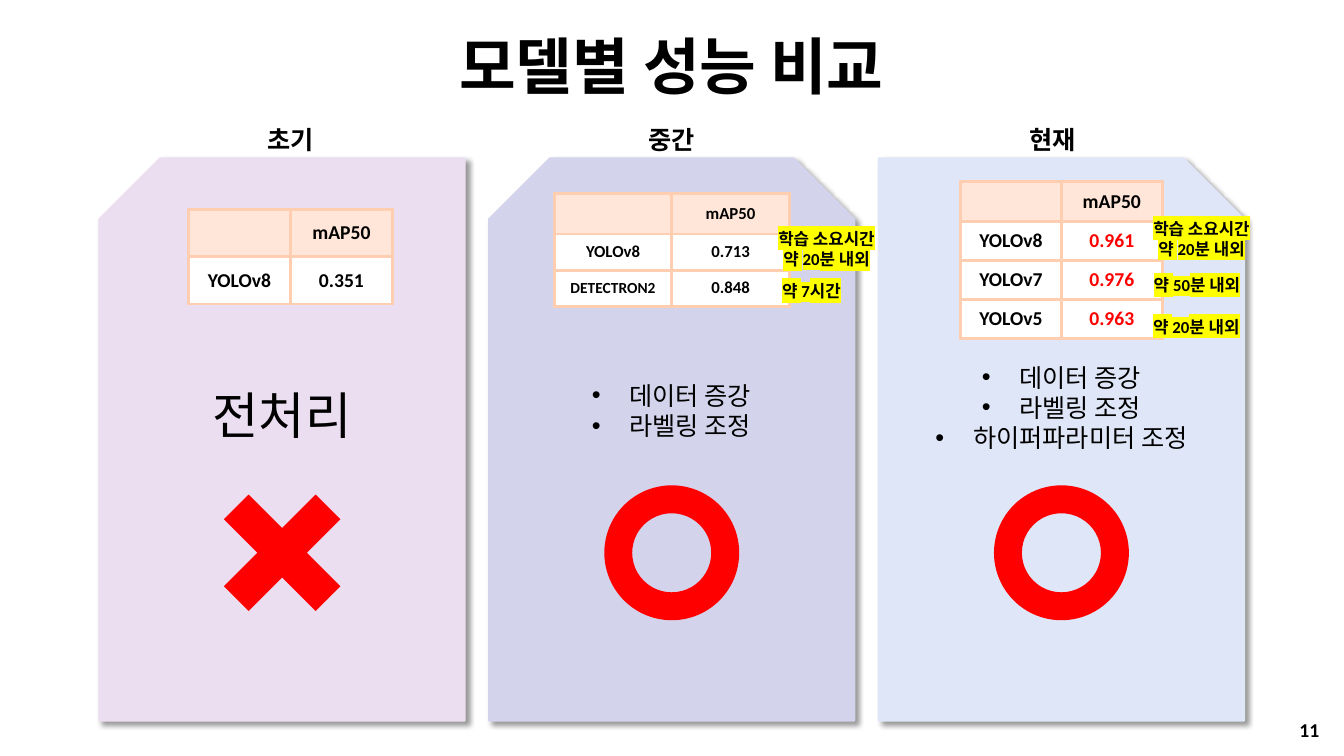
from lxml import etree
from pptx import Presentation
from pptx.dml.color import RGBColor
from pptx.enum.shapes import MSO_SHAPE
from pptx.enum.text import MSO_ANCHOR, MSO_AUTO_SIZE, PP_ALIGN
from pptx.oxml import parse_xml
from pptx.oxml.ns import nsdecls, qn
from pptx.util import Cm, Pt

CENTER, RIGHT = PP_ALIGN.CENTER, PP_ALIGN.RIGHT
TOP, MIDDLE = MSO_ANCHOR.TOP, MSO_ANCHOR.MIDDLE
NO_FIT = MSO_AUTO_SIZE.NONE
SNIP_ONE, SNIP_TWO = MSO_SHAPE.SNIP_1_RECTANGLE, MSO_SHAPE.SNIP_2_SAME_RECTANGLE
CROSS, RING = MSO_SHAPE.MATH_MULTIPLY, MSO_SHAPE.DONUT

FONT, BLACK, RED = "Calibri", "000000", "FF0000"
YELLOW, PEACH, PALE_PEACH, WHITE = "FFFF00", "FFCEB0", "FFE6D8", "FFFFFF"

TITLE = "모델별 성능 비교"
PAGE_NUMBER = "11"
STAGES = [
    {"heading": "초기", "card": (SNIP_ONE, "EBDEF1", True),
     "mark": (CROSS, 0.198, 4.45),
     "table": (4.75, 5.28, 2.57, 1.19, 14, BLACK),
     "scores": [("YOLOv8", "0.351")]},
    {"heading": "중간", "card": (SNIP_TWO, "D3D3EB", False),
     "mark": (RING, 0.207, 3.4),
     "table": (13.97, 4.88, 2.96, 0.91, 12, BLACK),
     "scores": [("YOLOv8", "0.713"), ("DETECTRON2", "0.848")]},
    {"heading": "현재", "card": (SNIP_ONE, "DFE6F7", False),
     "mark": (RING, 0.207, 3.4),
     "table": (24.21, 4.57, 2.54, 0.98, 14, RED),
     "scores": [("YOLOv8", "0.961"), ("YOLOv7", "0.976"), ("YOLOv5", "0.963")]},
]
PREPROCESSING = ("전처리", (3.58, 9.55, 7.06, 1.8))
LISTS = [
    (["데이터 증강", "라벨링 조정"], (13.39, 9.45, 7.06, 1.8)),
    (["데이터 증강", "라벨링 조정", "하이퍼파라미터 조정"], (23.22, 8.99, 7.06, 2.57)),
]
TRAINING_TIMES = [
    (["학습 소요시간", "약 20분 내외"], (18.19, 5.64, 5.28, 1.27)),
    (["약 7시간"], (18.19, 6.96, 4.52, 0.76)),
    (["학습 소요시간", "약 20분 내외"], (27.64, 5.38, 5.28, 1.27)),
    (["약 50분 내외"], (27.64, 6.81, 5.05, 0.76)),
    (["약 20분 내외"], (27.51, 7.85, 5.28, 0.76)),
]
CARD_LEFT, CARD_TOP, CARD_WIDTH, CARD_HEIGHT, CARD_STEP = 2.51, 3.99, 9.2, 14.17, 9.82
HEADING_LEFT, HEADING_STEP = 4.95, 9.6
MARK_CENTER_LEFT, MARK_CENTER_TOP = 7.11, 13.93


def color(value):
    return RGBColor.from_string(value)


def apply(target, values):
    for name, value in values.items():
        setattr(target, name, value)


def place(box, area):
    apply(box, dict(zip(("left", "top", "width", "height"), map(Cm, area))))


def write(frame, lines, size, bold=False, ink=BLACK, align=CENTER,
          anchor=TOP, bullet=False, highlight=None):
    apply(frame, {"word_wrap": True, "vertical_anchor": anchor})
    for index, line in enumerate(lines):
        para = frame.add_paragraph() if index else frame.paragraphs[0]
        if bullet:
            properties = para._p.get_or_add_pPr()
            properties.set("marL", str(Cm(0.95)))
            properties.set("indent", str(-Cm(0.95)))
            etree.SubElement(properties, qn("a:buFont")).set("typeface", "Arial")
            etree.SubElement(properties, qn("a:buChar")).set("char", "•")
        apply(para, {"alignment": align, "space_before": Pt(0), "line_spacing": 1.0})
        span = para.add_run()
        span.text = line
        apply(span.font, {"name": FONT, "size": Pt(size), "bold": bold})
        span.font.color.rgb = color(ink)
        if highlight:
            fill = span.font._element.find(qn("a:solidFill"))
            fill.addnext(parse_xml(
                f'<a:highlight {nsdecls("a")}><a:srgbClr val="{highlight}"/></a:highlight>'))


def add_text(page, lines, area, size, **style):
    box = page.shapes.add_textbox(*map(Cm, area))
    write(box.text_frame, lines, size, **style)


def add_solid(page, kind, area, fill):
    shape = page.shapes.add_shape(kind, *map(Cm, area))
    shape.shadow.inherit = False
    shape.fill.solid()
    shape.fill.fore_color.rgb = color(fill)
    shape.line.fill.background()
    return shape


def add_card(page, kind, fill, flipped, left):
    card = add_solid(page, kind, (left, CARD_TOP, CARD_WIDTH, CARD_HEIGHT), fill)
    card.line.color.rgb = color(fill)
    card.line.width = Pt(1.5)
    properties = card.element.spPr
    if flipped:
        properties.find(qn("a:xfrm")).set("flipH", "1")
    properties.find(qn("a:effectLst")).append(parse_xml(
        f'<a:outerShdw {nsdecls("a")} blurRad="{Pt(4)}" dist="{Pt(3)}" dir="2700000" '
        f'algn="tl" rotWithShape="0"><a:srgbClr val="{BLACK}">'
        '<a:alpha val="40000"/></a:srgbClr></a:outerShdw>'))
    page.shapes.element.insert(2, card.element)


def add_borders(cell):
    properties = cell._tc.get_or_add_tcPr()
    for index, side in enumerate(("lnL", "lnR", "lnT", "lnB")):
        properties.insert(index, parse_xml(
            f'<a:{side} {nsdecls("a")} w="{Pt(2.25)}"><a:solidFill>'
            f'<a:srgbClr val="{PEACH}"/></a:solidFill></a:{side}>'))


def add_scores(page, scores, left, top, column, row, size, ink):
    rows = [("", "mAP50")] + scores
    area = (left, top, 2 * column, row * len(rows))
    table = page.shapes.add_table(len(rows), 2, *map(Cm, area)).table
    apply(table, {"first_row": False, "horz_banding": False})
    for row_index, values in enumerate(rows):
        for column_index, value in enumerate(values):
            cell = table.cell(row_index, column_index)
            cell.fill.solid()
            cell.fill.fore_color.rgb = color(WHITE if row_index else PALE_PEACH)
            add_borders(cell)
            cell.vertical_anchor = MIDDLE
            if value:
                is_score = row_index and column_index
                write(cell.text_frame, [value], 11 if value == "DETECTRON2" else size,
                      bold=True, ink=ink if is_score else BLACK, anchor=MIDDLE)


def main():
    deck = Presentation()
    apply(deck, {"slide_width": Cm(33.87), "slide_height": Cm(19.05)})
    page = deck.slides.add_slide(deck.slide_layouts.get_by_name("Two Content"))
    title, *bodies = page.placeholders
    place(title, (9.7, 0.53, 14.45, 2.21))
    title.text_frame.auto_size = NO_FIT
    write(title.text_frame, [TITLE], 44, bold=True, anchor=MIDDLE)
    for body, (items, area) in zip(bodies, LISTS):
        place(body, area)
        body.text_frame.auto_size = NO_FIT
        write(body.text_frame, items, 18, bullet=True)

    for index, stage in enumerate(STAGES):
        add_card(page, *stage["card"], CARD_LEFT + index * CARD_STEP)
        heading_area = (HEADING_LEFT + index * HEADING_STEP, 3.02, 4.75, 1.02)
        add_text(page, [stage["heading"]], heading_area, 18, bold=True)
        add_scores(page, stage["scores"], *stage["table"])
        kind, thickness, size = stage["mark"]
        mark_left = MARK_CENTER_LEFT + index * CARD_STEP - size / 2
        mark = add_solid(page, kind, (mark_left, MARK_CENTER_TOP - size / 2, size, size), RED)
        mark.adjustments[0] = thickness

    text, area = PREPROCESSING
    add_text(page, [text], area, 36)
    for lines, area in TRAINING_TIMES:
        add_text(page, lines, area, 12, bold=True, highlight=YELLOW)
    add_text(page, [PAGE_NUMBER], (25.6, 17.88, 7.9, 1.02), 14,
             bold=True, align=RIGHT, anchor=MIDDLE)
    deck.save("out.pptx")


if __name__ == "__main__":
    main()
